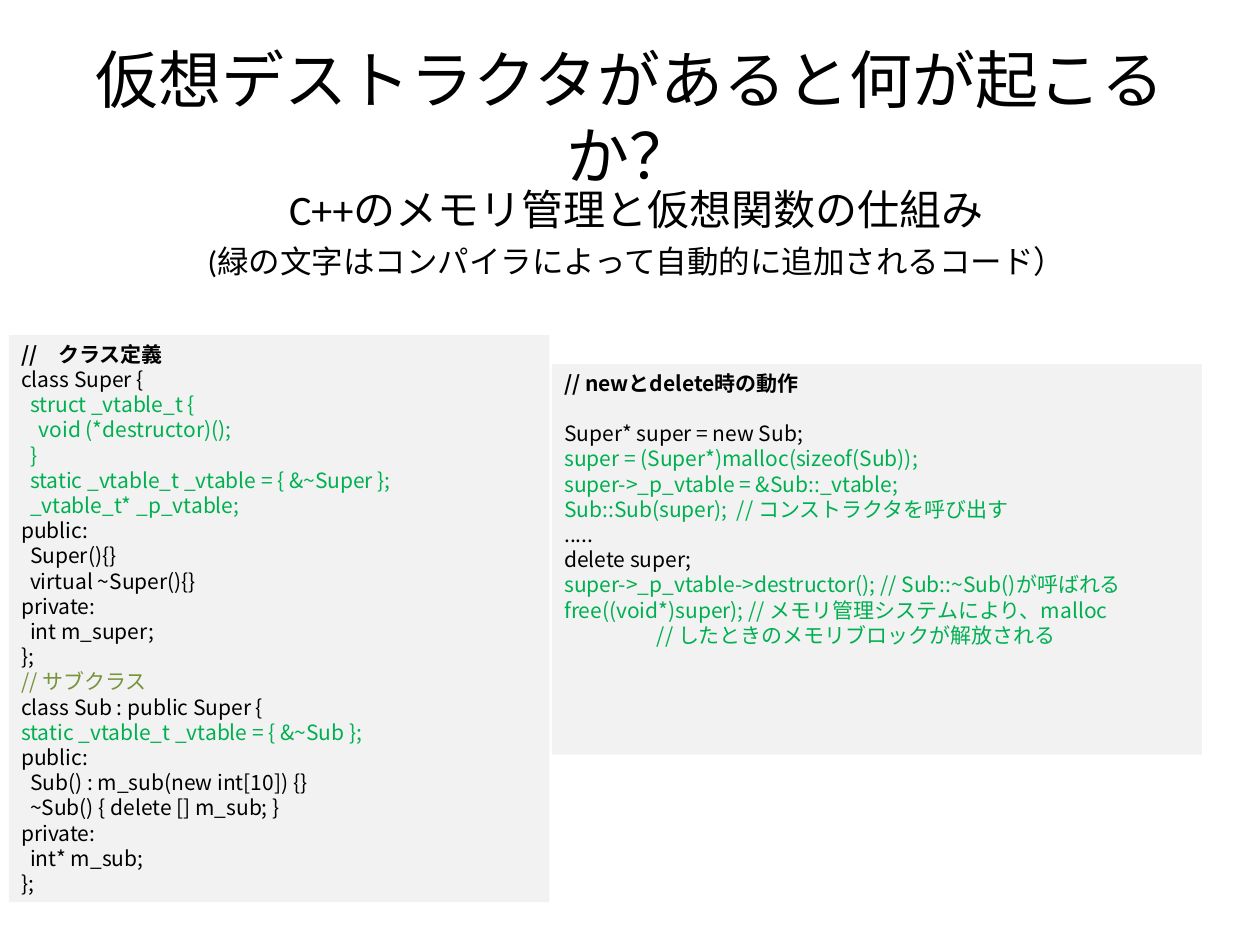
"""Build the slide on virtual destructors in C++."""
import pptx
import pptx.util
import pptx.dml.color
import pptx.enum.shapes
import pptx.enum.text
import pptx.oxml
import pptx.oxml.ns

Inches, Pt = pptx.util.Inches, pptx.util.Pt
COLORS = {"text": "000000", "added": "00B050", "note": "77933C", "panel": "F2F2F2"}
CJK = "Noto Sans CJK JP"
INDENT = 0.07


def style(p, size, font, color="text", bold=False):
    r = p.runs[0]
    r.font.size = Pt(size)
    r.font.name = font
    r.font.bold = bold
    r.font.color.rgb = pptx.dml.color.RGBColor.from_string(COLORS[color])
    ea = pptx.oxml.parse_xml(f'<a:ea {pptx.oxml.ns.nsdecls("a")} typeface="{CJK}"/>')
    r.font._element.append(ea)


prs = pptx.Presentation()
prs.slide_width, prs.slide_height = Inches(10), Inches(7.5)
s = prs.slides.add_slide(prs.slide_layouts[6])

headings = [
    ((0.5, 0.3, 9, 1.25), pptx.enum.text.MSO_ANCHOR.MIDDLE,
     [("仮想デストラクタがあると何が起こるか？", 36, 0)]),
    ((0.55, 1.41, 9, 0.94), pptx.enum.text.MSO_ANCHOR.TOP,
     [("C++のメモリ管理と仮想関数の仕組み", 24, 6),
      ("(緑の文字はコンパイラによって自動的に追加されるコード）", 18, 4.5)]),
]
for box, anchor, lines in headings:
    tf = s.shapes.add_textbox(*map(Inches, box)).text_frame
    tf.word_wrap = True
    tf.vertical_anchor = anchor
    tf.text = "\n".join(text for text, size, before in lines)
    for p, (text, size, before) in zip(tf.paragraphs, lines):
        p.alignment = pptx.enum.text.PP_ALIGN.CENTER
        p.space_before = Pt(before)
        style(p, size, "Calibri")

class_code = [
    ("//\u3000クラス定義".replace("\u3000", "　"), "text", 0),
    ("class Super {", "text", 0),
    ("struct _vtable_t {", "added", 1),
    ("void (*destructor)();", "added", 2),
    ("}", "added", 1),
    ("static _vtable_t _vtable = { &~Super };", "added", 1),
    ("_vtable_t* _p_vtable;", "added", 1),
    ("public:", "text", 0),
    ("Super(){}", "text", 1),
    ("virtual ~Super(){}", "text", 1),
    ("private:", "text", 0),
    ("int m_super;", "text", 1),
    ("};", "text", 0),
    ("// サブクラス", "note", 0),
    ("class Sub : public Super {", "text", 0),
    ("static _vtable_t _vtable = { &~Sub };", "added", 0),
    ("public:", "text", 0),
    ("Sub() : m_sub(new int[10]) {}", "text", 1),
    ("~Sub() { delete [] m_sub; }", "text", 1),
    ("private:", "text", 0),
    ("int* m_sub;", "text", 1),
    ("};", "text", 0),
]
usage_code = [
    ("// newとdelete時の動作", "text", 0),
    ("Super* super = new Sub;", "text", 0),
    ("super = (Super*)malloc(sizeof(Sub));", "added", 0),
    ("super->_p_vtable = &Sub::_vtable;", "added", 0),
    ("Sub::Sub(super);  // コンストラクタを呼び出す", "added", 0),
    (".....", "text", 0),
    ("delete super;", "text", 0),
    ("super->_p_vtable->destructor(); // Sub::~Sub()が呼ばれる", "added", 0),
    ("free((void*)super); // メモリ管理システムにより、malloc", "added", 0),
    ("// したときのメモリブロックが解放される", "added", 10.5),
]
panels = [
    ((0.07, 2.66, 4.29, 4.5), class_code, 0),
    ((4.38, 2.89, 5.16, 3.1), usage_code, 14.4),
]
for box, code, heading_gap in panels:
    sp = s.shapes.add_shape(pptx.enum.shapes.MSO_SHAPE.RECTANGLE, *map(Inches, box))
    sp.shadow.inherit = False
    sp.fill.solid()
    sp.fill.fore_color.rgb = pptx.dml.color.RGBColor.from_string(COLORS["panel"])
    sp.line.fill.background()
    tf = sp.text_frame
    tf.word_wrap = True
    tf.vertical_anchor = pptx.enum.text.MSO_ANCHOR.TOP
    tf.text = "\n".join(text for text, color, level in code)
    for i, (p, (text, color, level)) in enumerate(zip(tf.paragraphs, code)):
        p.alignment = pptx.enum.text.PP_ALIGN.LEFT
        p.line_spacing = Pt(14.4)
        p._p.get_or_add_pPr().set("marL", str(Inches(INDENT * level)))
        style(p, 12, CJK, color, bold=i == 0)
    tf.paragraphs[0].space_after = Pt(heading_gap)

prs.save("out.pptx")
